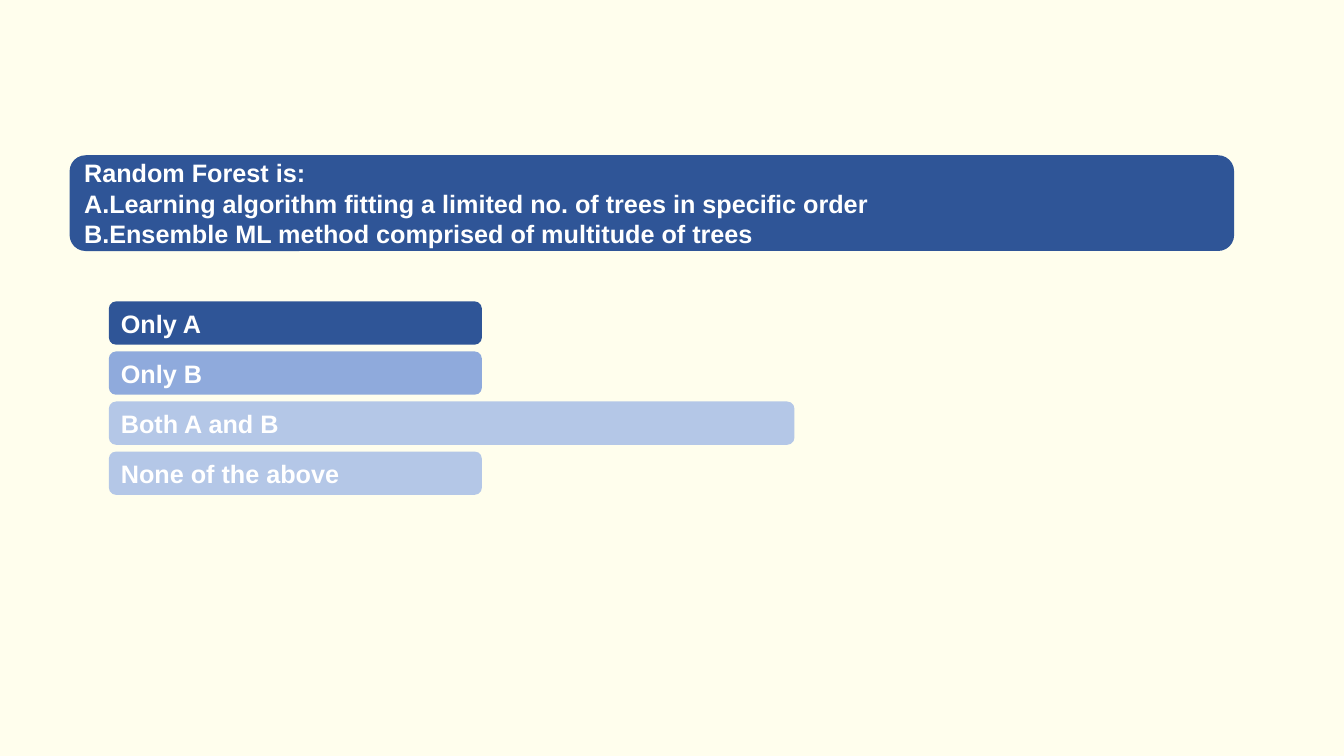
import pptx
import pptx.util
import pptx.dml.color
import pptx.enum.shapes
import pptx.enum.text

Inches = pptx.util.Inches

COLOURS = {
    "background": "FFFEED",
    "text": "FFFFFF",
    "dark": "2F5597",
    "medium": "8FAADC",
    "light": "B4C7E7",
}

QUESTION = [
    "Random Forest is:",
    "A.Learning algorithm fitting a limited no. of trees in specific order",
    "B.Ensemble ML method comprised of multitude of trees",
]
SHORT, LONG = 3.7, 6.8
ANSWERS = [
    ("Only A", "dark", SHORT),
    ("Only B", "medium", SHORT),
    ("Both A and B", "light", LONG),
    ("None of the above", "light", SHORT),
]

ANSWER_LEFT, ANSWER_HEIGHT = 1.08, 0.43
FIRST_TOP, LAST_TOP = 2.99, 4.48
ANSWER_STEP = (LAST_TOP - FIRST_TOP) / (len(ANSWERS) - 1)


def colour(key):
    return pptx.dml.color.RGBColor.from_string(COLOURS[key])


def add_bar(slide, text, fill, left, top, width, height):
    bar = slide.shapes.add_shape(
        pptx.enum.shapes.MSO_SHAPE.ROUNDED_RECTANGLE,
        Inches(left), Inches(top), Inches(width), Inches(height))
    bar.shadow.inherit = False
    bar.fill.solid()
    bar.fill.fore_color.rgb = colour(fill)
    bar.line.fill.background()
    frame = bar.text_frame
    frame.word_wrap = True
    frame.vertical_anchor = pptx.enum.text.MSO_ANCHOR.MIDDLE
    paragraph = frame.paragraphs[0]
    paragraph.text = text
    paragraph.alignment = pptx.enum.text.PP_ALIGN.LEFT
    for run in paragraph.runs:
        run.font.name = "Arial"
        run.font.size = pptx.util.Pt(18)
        run.font.bold = True
        run.font.color.rgb = colour("text")


deck = pptx.Presentation()
deck.slide_width, deck.slide_height = Inches(13.33), Inches(7.5)
quiz = deck.slides.add_slide(deck.slide_layouts[6])
quiz.background.fill.solid()
quiz.background.fill.fore_color.rgb = colour("background")

add_bar(quiz, "\v".join(QUESTION), "dark", 0.69, 1.54, 11.55, 0.95)
for index, (answer, fill, width) in enumerate(ANSWERS):
    add_bar(quiz, answer, fill, ANSWER_LEFT, FIRST_TOP + index * ANSWER_STEP,
            width, ANSWER_HEIGHT)

deck.save("out.pptx")
